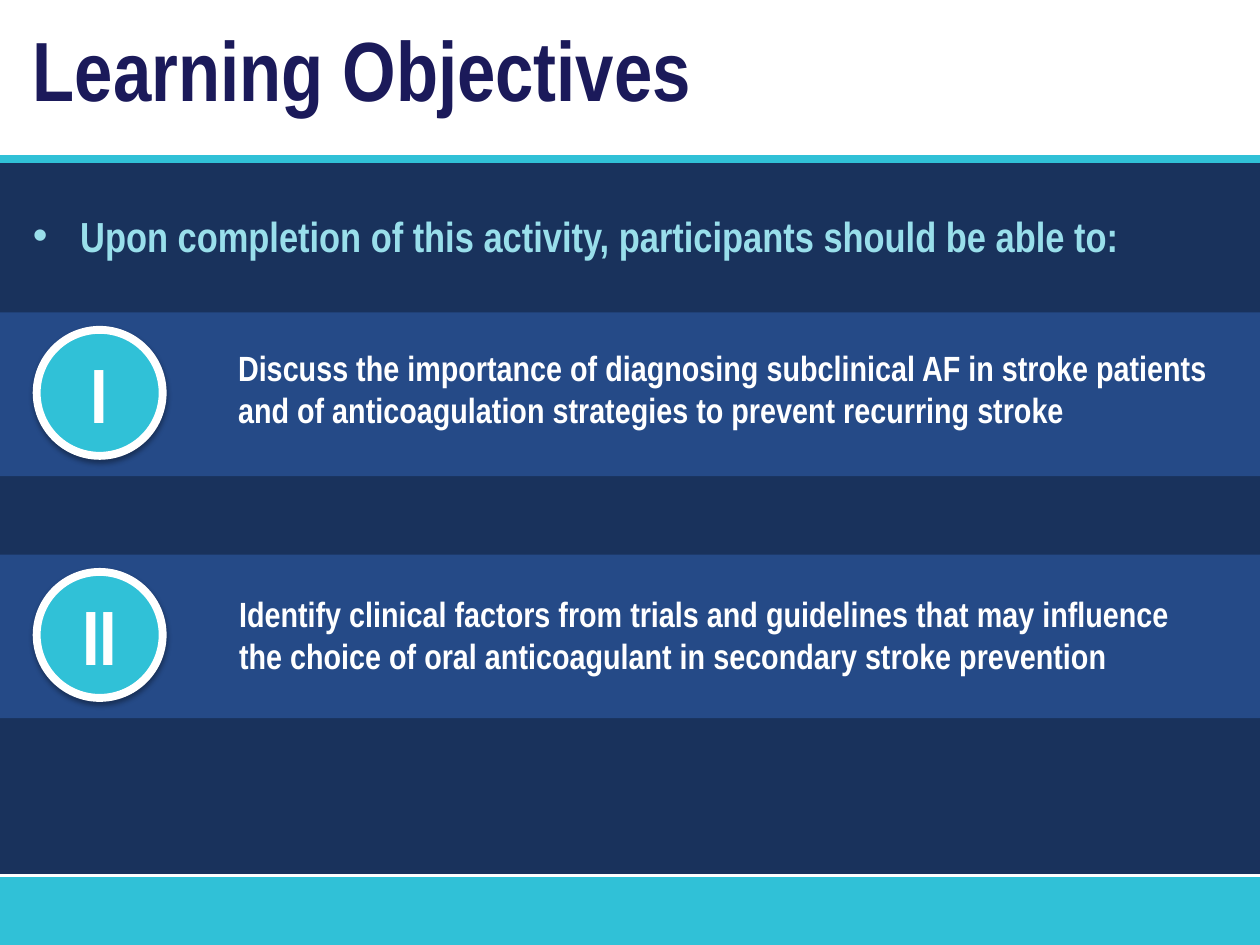
from lxml.etree import SubElement
from pptx import Presentation
from pptx.dml.color import RGBColor
from pptx.enum.shapes import MSO_CONNECTOR, MSO_SHAPE
from pptx.enum.text import MSO_ANCHOR, MSO_AUTO_SIZE, PP_ALIGN
from pptx.oxml import parse_xml
from pptx.oxml.ns import nsdecls, qn
from pptx.util import Cm, Pt

COLORS = {
    "navy": "19325C", "band": "254A87", "aqua": "30C1D7",
    "pale": "99DFEB", "title": "1B1A5A", "white": "FFFFFF",
}
SHADOW = (
    f'<a:effectLst {nsdecls("a")}><a:outerShdw blurRad="39370" dist="22860" '
    'dir="5400000" rotWithShape="0"><a:srgbClr val="000000">'
    '<a:alpha val="35000"/></a:srgbClr></a:outerShdw></a:effectLst>'
)
WIDTH = 25.4


def add_filled(kind, box, color, shadow=False):
    shape = slide.shapes.add_shape(kind, *map(Cm, box))
    shape.fill.solid()
    shape.fill.fore_color.rgb = RGBColor.from_string(COLORS[color])
    shape.line.fill.background()
    shape.shadow.inherit = False
    if shadow:
        properties = shape._element.spPr
        properties.remove(properties.find(qn("a:effectLst")))
        properties.append(parse_xml(SHADOW))
    return shape


def write_text(shape, text, size, color, align=PP_ALIGN.LEFT, anchor=MSO_ANCHOR.TOP):
    frame = shape.text_frame
    frame.text = text
    frame_format = {"word_wrap": True, "auto_size": MSO_AUTO_SIZE.NONE,
                    "vertical_anchor": anchor}
    for name, value in frame_format.items():
        setattr(frame, name, value)
    paragraph = frame.paragraphs[0]
    paragraph.alignment = align
    paragraph.space_before = Pt(0)
    font = paragraph.runs[0].font
    for name, value in {"name": "Arial Narrow", "size": Pt(size), "bold": True}.items():
        setattr(font, name, value)
    font.color.rgb = RGBColor.from_string(COLORS[color])


presentation = Presentation()
presentation.slide_width = Cm(WIDTH)
presentation.slide_height = Cm(19.05)
slide = presentation.slides.add_slide(presentation.slide_layouts[1])

# Background panel and footer
add_filled(MSO_SHAPE.RECTANGLE, (0, 3.2, WIDTH, 14.48), "navy")
add_filled(MSO_SHAPE.RECTANGLE, (0, 17.68, WIDTH, 1.37), "aqua", shadow=True)

# Dividing lines
for top, color, weight in [(3.2, "aqua", 4.5), (17.65, "white", 1.5)]:
    line = slide.shapes.add_connector(
        MSO_CONNECTOR.STRAIGHT, Cm(0), Cm(top), Cm(WIDTH), Cm(top))
    line.line.color.rgb = RGBColor.from_string(COLORS[color])
    line.line.width = Pt(weight)
    SubElement(line._element.spPr, qn("a:effectLst"))

# Numbered objectives: band, badge and statement
objectives = [
    ("I", 6.3, (4.55, 6.86, 20.09, 1.96),
     "Discuss the importance of diagnosing subclinical AF in stroke patients "
     "and of anticoagulation strategies to prevent recurring stroke"),
    ("II", 11.18, (4.57, 11.81, 19.43, 1.96),
     "Identify clinical factors from trials and guidelines that may influence "
     "the choice of oral anticoagulant in secondary stroke prevention"),
]
for numeral, top, text_box, statement in objectives:
    add_filled(MSO_SHAPE.RECTANGLE, (0, top, WIDTH, 3.3), "band")
    badge = add_filled(MSO_SHAPE.FLOWCHART_CONNECTOR,
                       (0.74, top + 0.35, 2.54, 2.54), "aqua", shadow=True)
    badge.line.color.rgb = RGBColor.from_string(COLORS["white"])
    badge.line.width = Pt(4.5)
    write_text(badge, numeral, 44, "white", PP_ALIGN.CENTER, MSO_ANCHOR.MIDDLE)
    write_text(slide.shapes.add_textbox(*map(Cm, text_box)), statement, 20, "white")

# Title and lead-in, brought in front of the panels
placeholders = [
    (slide.shapes.title, (0.41, 0.23, 22.4, 2.31), "Learning Objectives", 48, "title"),
    (slide.placeholders[1], (0.41, 4.11, 24.1, 1.52),
     "Upon completion of this activity, participants should be able to:", 24, "pale"),
]
for shape, box, text, size, color in placeholders:
    shape.left, shape.top, shape.width, shape.height = map(Cm, box)
    if shape != slide.shapes.title:
        properties = shape.text_frame.paragraphs[0]._p.get_or_add_pPr()
        properties.set("marL", "0")
        properties.set("indent", "0")
        SubElement(properties, qn("a:buNone"))
    write_text(shape, text, size, color)
    slide.shapes._spTree.append(shape._element)

presentation.save("out.pptx")
